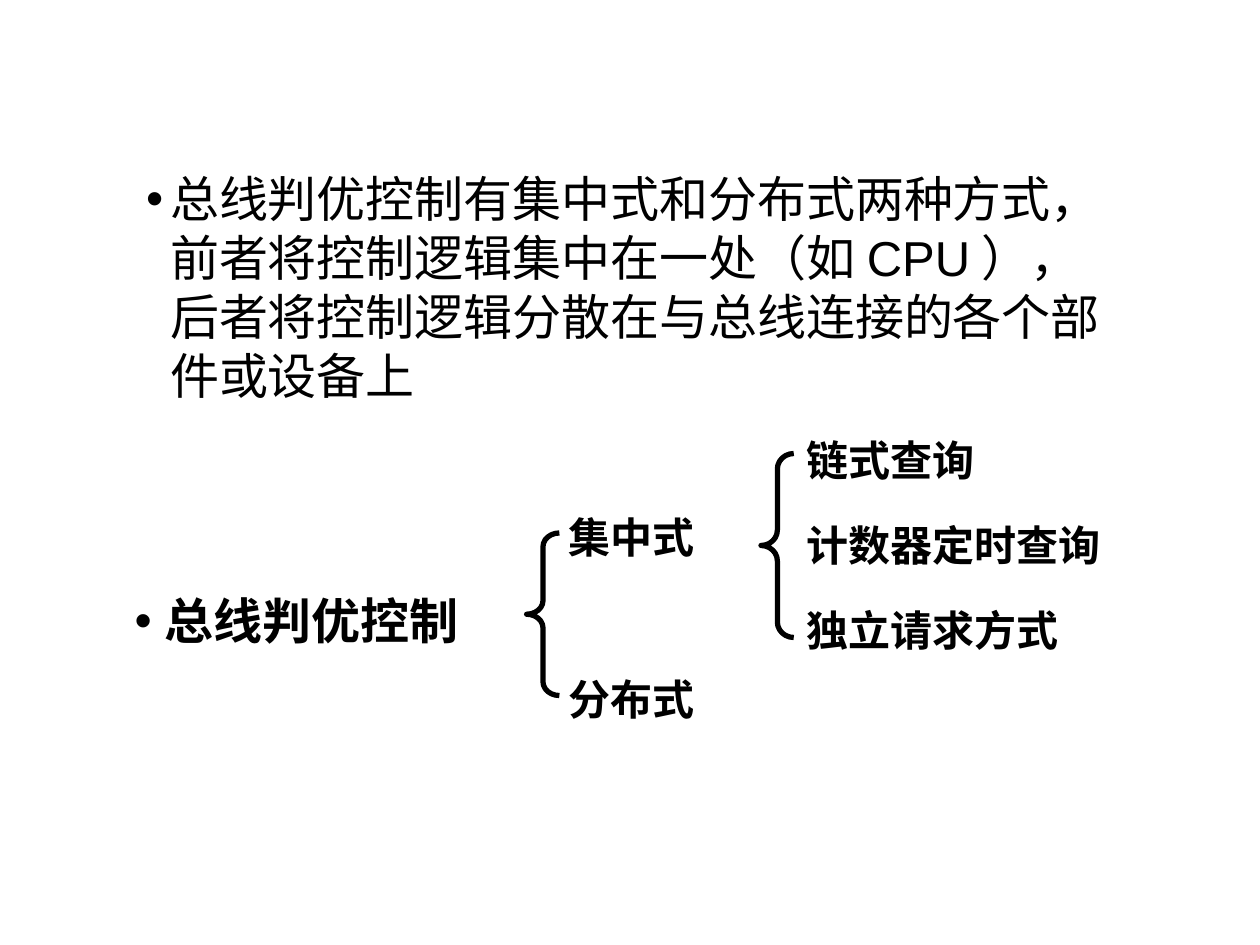
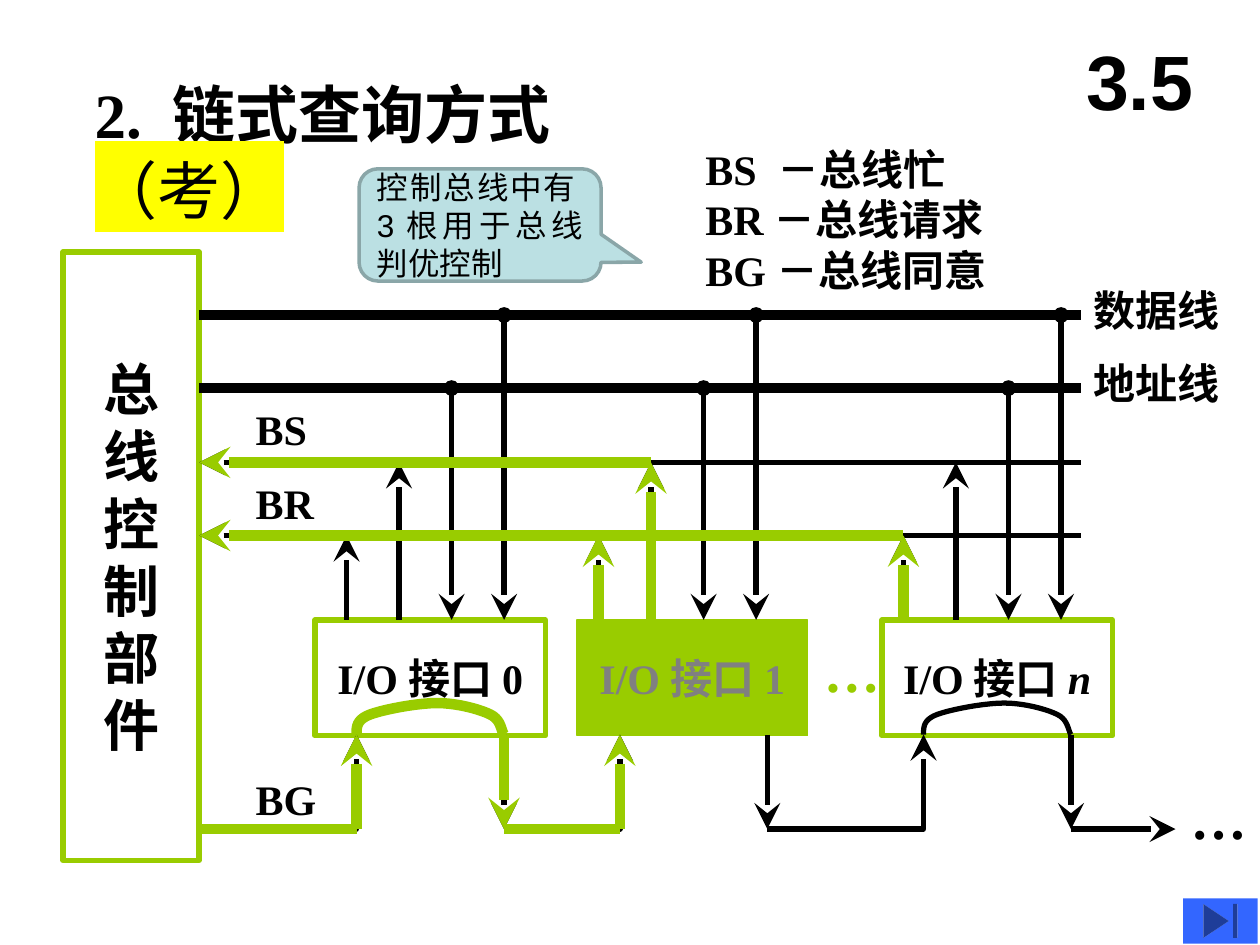
from lxml import etree
from pptx import Presentation
from pptx.dml.color import RGBColor
from pptx.enum.lang import MSO_LANGUAGE_ID
from pptx.enum.shapes import MSO_CONNECTOR, MSO_SHAPE
from pptx.enum.text import MSO_ANCHOR, MSO_AUTO_SIZE, PP_ALIGN
from pptx.oxml.ns import qn
from pptx.util import Inches, Pt

BLACK = RGBColor(0x00, 0x00, 0x00)
GREEN = RGBColor(0x99, 0xCC, 0x00)
GRAY = RGBColor(0x80, 0x80, 0x80)
BLUE = RGBColor(0x33, 0x66, 0xFF)
PALE_BLUE = RGBColor(0xBB, 0xE0, 0xE3)
SLATE = RGBColor(0x8A, 0xA6, 0xA8)
YELLOW = RGBColor(0xFF, 0xFF, 0x00)
SERIF, SANS = "Times New Roman", "Arial"

CHINESE = MSO_LANGUAGE_ID.SIMPLIFIED_CHINESE
STRAIGHT = MSO_CONNECTOR.STRAIGHT
RECT, BRACE = MSO_SHAPE.RECTANGLE, MSO_SHAPE.LEFT_BRACE
CALLOUT, END_BUTTON = MSO_SHAPE.ROUNDED_RECTANGULAR_CALLOUT, MSO_SHAPE.ACTION_BUTTON_END
TOP, MIDDLE = MSO_ANCHOR.TOP, MSO_ANCHOR.MIDDLE
LEFT, CENTER, JUSTIFY = PP_ALIGN.LEFT, PP_ALIGN.CENTER, PP_ALIGN.JUSTIFY
NO_FIT, GROW = MSO_AUTO_SIZE.NONE, MSO_AUTO_SIZE.SHAPE_TO_FIT_TEXT

# Heights of the bus lines and the blocks below them
DATA_Y, ADDRESS_Y, BS_Y, BR_Y = 2.5, 3.08, 3.67, 4.25
IO_TOP, IO_BOTTOM, GRANT_Y = 4.92, 5.83, 6.58
BUS_LEFT, BUS_RIGHT = 1.58, 8.58
IO_LEFTS = (2.5, 4.58, 7)
TAP_XS = (2.75, 4.75, 7.17)       # first tap of each interface
GRANT_XS = (2.83, 4.92, 7.33)     # BG input of each interface
TAP_STEP, GRANT_WIDTH = 0.417, 1.17

# Control points of the BG arc inside an interface
ARC = ((0, 0.25), (0, 0.19), (0, 0.13), (0.11, 0.09), (0.22, 0.05), (0.48, 0), (0.64, 0),
       (0.8, 0), (0.98, 0.05), (1.06, 0.09), (1.15, 0.13), (1.15, 0.23), (1.17, 0.25))


def inches(box):
    return [Inches(v) for v in box]


def place(shape, box):
    shape.left, shape.top, shape.width, shape.height = inches(box)


def style(r, size, font=SERIF, color=BLACK, bold=True):
    f = r.font
    f.size, f.name, f.bold = Pt(size), font, bold
    f.color.rgb = color
    f.language_id = CHINESE


def write(shape, text, size, align=LEFT, anchor=TOP, wrap=False, **look):
    tf = shape.text_frame
    tf.text = text
    tf.word_wrap, tf.vertical_anchor = wrap, anchor
    for p in tf.paragraphs:
        p.alignment = align
        for r in p.runs:
            style(r, size, **look)


def add_label(s, text, box, size=24, **options):
    tb = s.shapes.add_textbox(*inches(box))
    write(tb, text, size, **options)
    tb.text_frame.auto_size = GROW
    return tb


def add_bullet(p, indent):
    pPr = p._p.get_or_add_pPr()
    pPr.set("marL", str(Inches(indent)))
    pPr.set("indent", str(-Inches(indent)))
    etree.SubElement(pPr, qn("a:buFont"), typeface=SANS)
    etree.SubElement(pPr, qn("a:buChar"), char="•")


def add_block(s, kind, box, fill=None, line=None, width=3):
    sp = s.shapes.add_shape(kind, *inches(box))
    sp.shadow.inherit = False
    if fill is None:
        sp.fill.background()
    else:
        sp.fill.solid()
        sp.fill.fore_color.rgb = fill
    if line is None:
        sp.line.fill.background()
    else:
        sp.line.color.rgb, sp.line.width = line, Pt(width)
    return sp


def add_brace(s, box, curve):
    add_block(s, BRACE, box, line=BLACK).adjustments[0] = curve


def draw_line(shape, color, width, head, tail):
    shape.line.color.rgb, shape.line.width = color, Pt(width)
    ln = shape.element.spPr.find(qn("a:ln"))
    for tag, end in (("a:headEnd", head), ("a:tailEnd", tail)):
        if end:
            size = "lg" if end == "stealth" and width == 3 else "med"
            etree.SubElement(ln, qn(tag), type=end, w=size, len=size)


def add_line(s, x1, y1, x2, y2, color=BLACK, width=3, head=None, tail=None):
    cn = s.shapes.add_connector(STRAIGHT, *inches((x1, y1, x2, y2)))
    draw_line(cn, color, width, head, tail)
    etree.SubElement(cn.element.spPr, qn("a:effectLst"))


def add_path(s, points, color=BLACK, width=3, tail=None):
    start, *rest = [tuple(inches(pt)) for pt in points]
    fb = s.shapes.build_freeform(*start)
    fb.add_line_segments(rest, close=False)
    sp = fb.convert_to_shape()
    sp.shadow.inherit = False
    sp.fill.background()
    draw_line(sp, color, width, None, tail)


def add_arc(s, x, color=BLACK, width=3, steps=10):
    points = [ARC[0]]
    for i in range(0, len(ARC) - 1, 3):
        a, b, c, d = ARC[i:i + 4]
        for k in range(1, steps + 1):
            t = k / steps
            u = 1 - t
            points.append([u**3 * a[j] + 3 * u * u * t * b[j] + 3 * u * t * t * c[j] + t**3 * d[j]
                           for j in (0, 1)])
    add_path(s, [(x + dx, IO_BOTTOM - 0.25 + dy) for dx, dy in points], color, width)


def add_overview(prs):
    s = prs.slides.add_slide(prs.slide_layouts[1])
    title = s.shapes.title.element
    title.getparent().remove(title)

    # Introductory bullet
    body = s.placeholders[1]
    place(body, (1.06, 1.29, 7.9, 1.97))
    write(body, "总线判优控制有集中式和分布式两种方式，前者将控制逻辑集中在一处（如CPU），"
                "后者将控制逻辑分散在与总线连接的各个部件或设备上",
          28, wrap=True, font=SANS, bold=False)
    body.text_frame.auto_size = NO_FIT
    p = body.text_frame.paragraphs[0]
    p.space_before = Pt(0)
    add_bullet(p, 0.19)

    # Classification tree
    root = add_label(s, "总线判优控制", (0.97, 4.64, 4.15, 0.57), 28, wrap=True)
    add_bullet(root.text_frame.paragraphs[0], 0.24)
    add_brace(s, (4.18, 4.23, 0.26, 1.29), 0.417)
    add_label(s, "集中式", (4.41, 4.01, 1.21, 0.5))
    add_label(s, "分布式", (4.41, 5.3, 1.21, 0.5))
    add_brace(s, (6.04, 3.6, 0.26, 1.46), 0.472)
    methods = (("链式查询", 1.54), ("计数器定时查询", 2.55), ("独立请求方式", 2.21))
    for i, (name, width) in enumerate(methods):
        add_label(s, name, (6.3, 3.4 + 0.675 * i, width, 0.5))


def add_heading(s):
    title = s.shapes.title
    place(title, (0.65, 0.55, 4.82, 0.71))
    write(title, "2. 链式查询方式", 36, wrap=True)
    title.text_frame.auto_size = NO_FIT
    r = title.text_frame.paragraphs[0].add_run()
    r.text = "（考）"
    style(r, 36, font=SANS, bold=False)
    highlight = etree.Element(qn("a:highlight"))
    etree.SubElement(highlight, qn("a:srgbClr"), val=str(YELLOW))
    r.font._element.find(qn("a:solidFill")).addnext(highlight)

    section = s.shapes.add_textbox(*inches((8.42, 0.17, 1.25, 0.92)))
    write(section, "3.5", 44, align=CENTER, anchor=MIDDLE, wrap=True, font=SANS)


def add_buses(s):
    controller = add_block(s, RECT, (0.5, 2, 1.08, 4.83), line=GREEN)
    write(controller, "\n".join("总线控制部件"), 32, align=CENTER, anchor=MIDDLE)
    for y in (DATA_Y, ADDRESS_Y):
        add_line(s, BUS_LEFT, y, BUS_RIGHT, y, width=6)
    for y in (BS_Y, BR_Y):
        add_line(s, BUS_LEFT, y, BUS_RIGHT, y, head="stealth")
    for text, x, y, width in (("数据线", 8.58, 2.21, 1.2), ("地址线", 8.58, 2.79, 1.2),
                              ("BS", 1.93, 3.15, 0.61), ("BR", 1.93, 3.74, 0.66),
                              ("BG", 1.93, 6.09, 0.68)):
        add_label(s, text, (x, y, width, 0.5))
    add_label(s, "BS －总线忙\nBR－总线请求\nBG－总线同意", (5.5, 1.09, 2.97, 1.3), wrap=True)


def add_interfaces(s):
    for x, number in zip(IO_LEFTS, "01n"):
        active = number == "1"
        io = add_block(s, RECT, (x, IO_TOP, 1.83, 0.92), GREEN if active else None,
                       GREEN, 0.75 if active else 3)
        color = GRAY if active else BLACK
        write(io, "I/O接口" + ("" if number == "n" else number), 24,
              align=CENTER, anchor=MIDDLE, color=color)
        if number == "n":
            r = io.text_frame.paragraphs[0].add_run()
            r.text = number
            style(r, 24)
            r.font.italic = True
    add_label(s, "…", (6.44, 5, 0.65, 0.63), 32, color=GREEN)

    # Taps up to BR and BS, and down from the address and data lines
    for x in TAP_XS:
        for i, y in enumerate((BR_Y, BS_Y)):
            add_line(s, x + TAP_STEP * i, IO_TOP, x + TAP_STEP * i, y, tail="stealth")
        for i, y in enumerate((ADDRESS_Y, DATA_Y), 2):
            add_line(s, x + TAP_STEP * i, y, x + TAP_STEP * i, IO_TOP, head="oval", tail="stealth")


def add_grant_chain(s):
    starts = (BUS_LEFT,) + tuple(x + GRANT_WIDTH for x in GRANT_XS[:2])
    for start, x in zip(starts, GRANT_XS):
        add_path(s, [(start, GRANT_Y), (x, GRANT_Y), (x, IO_BOTTOM)], tail="stealth")
        out = x + GRANT_WIDTH
        add_line(s, out, IO_BOTTOM, out, GRANT_Y, tail="stealth")
    add_arc(s, GRANT_XS[2])
    add_line(s, 8.5, GRANT_Y, 9.33, GRANT_Y, tail="stealth")
    add_label(s, "…", (9.35, 6.17, 0.65, 0.63), 32)


def add_active_route(s):
    # Request and busy signals
    bs_x = TAP_XS[1] + TAP_STEP
    arrows = [(bs_x, BS_Y, BUS_LEFT, BS_Y), (TAP_XS[2], BR_Y, BUS_LEFT, BR_Y),
              (bs_x, IO_TOP, bs_x, BS_Y)]
    arrows += [(x, IO_TOP, x, BR_Y) for x in TAP_XS[1:]]

    # Grant passing interface 0 and stopping at interface 1
    first, second = GRANT_XS[:2]
    out = first + GRANT_WIDTH
    arrows += [(x, GRANT_Y, x, IO_BOTTOM) for x in (first, second)]
    arrows.append((out, IO_BOTTOM, out, GRANT_Y))
    for ends in arrows:
        add_line(s, *ends, color=GREEN, width=6, tail="stealth")
    for x1, x2 in ((BUS_LEFT, first), (out, second)):
        add_line(s, x1, GRANT_Y, x2, GRANT_Y, color=GREEN, width=6)
    add_arc(s, first, GREEN, 6)


def add_chain_query(prs):
    s = prs.slides.add_slide(prs.slide_layouts[5])
    add_heading(s)
    add_buses(s)
    add_interfaces(s)
    add_grant_chain(s)
    add_active_route(s)

    # Callout and navigation button
    note = add_block(s, CALLOUT, (2.85, 1.34, 1.92, 0.89), PALE_BLUE, SLATE, 2)
    for i, value in enumerate((0.666, 0.332, 0.167)):
        note.adjustments[i] = value
    write(note, "控制总线中有3根用于总线判优控制", 18, align=JUSTIFY, anchor=MIDDLE,
          wrap=True, font=SANS, bold=False)
    add_block(s, END_BUTTON, (9.39, 7.13, 0.59, 0.36), BLUE)


def main():
    prs = Presentation()
    prs.slide_width, prs.slide_height = Inches(10), Inches(7.5)
    add_overview(prs)
    add_chain_query(prs)
    prs.save("out.pptx")


if __name__ == "__main__":
    main()
